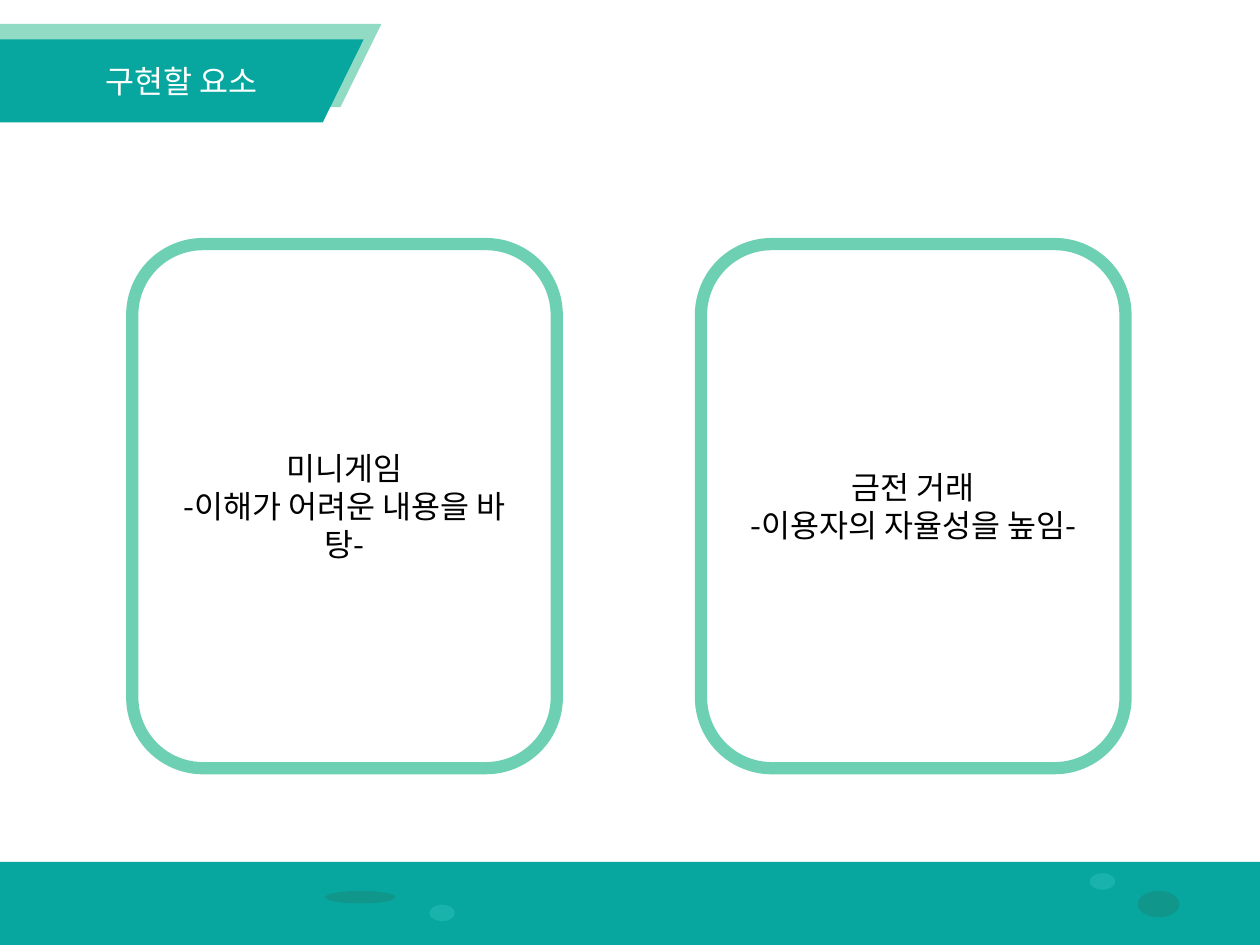
from pptx import Presentation
from pptx.dml.color import RGBColor as RGB
from pptx.enum.shapes import MSO_SHAPE as Kind
from pptx.enum.text import MSO_ANCHOR as Anchor, PP_ALIGN as Align
from pptx.oxml.ns import qn
from pptx.util import Pt
from lxml.etree import SubElement as Sub

FONT = "Noto Sans CJK KR"
TEAL, MINT, EDGE = "07A7A0", "91DBC4", "6ED0B2"
PALE, DARK, WHITE, BLACK = "19B3AB", "11968C", "FFFFFF", "000000"


def color(text):
    return RGB.from_string(text)


def paint(shape, fill, line=None, width=0):
    shape.shadow.inherit = False
    shape.fill.solid()
    shape.fill.fore_color.rgb = color(fill)
    if line:
        shape.line.color.rgb = color(line)
        shape.line.width = Pt(width)
    else:
        shape.line.fill.background()


def write(shape, lines, ink):
    frame = shape.text_frame
    frame.word_wrap = True
    frame.vertical_anchor = Anchor.MIDDLE
    frame.text = "\n".join(lines)
    for para in frame.paragraphs:
        para.alignment = Align.CENTER
        font = para.font
        font.size = Pt(18)
        font.color.rgb = color(ink)
        font.name = FONT
        Sub(para._p.pPr.find(qn("a:defRPr")), qn("a:ea"), typeface=FONT)


def add(slide, kind, box, fill, line=None, width=0):
    shape = slide.shapes.add_shape(kind, *map(Pt, box))
    paint(shape, fill, line, width)
    return shape


def footer(slide, box):
    left, top, _, _ = box
    add(slide, Kind.RECTANGLE, box, TEAL)
    spots = [
        (622.8, 6.5, 14.4, 9.4, PALE),
        (650.2, 16.6, 23.8, 15.1, DARK),
        (245.5, 24.5, 14.4, 9.4, PALE),
        (185.8, 16.6, 40.3, 7.2, DARK),
    ]
    for x, y, wide, high, fill in spots:
        add(slide, Kind.OVAL, (left + x, top + y, wide, high), fill)


def band(slide, box, slant, fill):
    left, top, wide, high = box
    right, low = left + wide, top + high
    pen = slide.shapes.build_freeform(Pt(left), Pt(top))
    pen.add_line_segments(
        [(Pt(x), Pt(y)) for x, y in
         [(right, top), (right - slant, low), (left, low)]])
    paint(pen.convert_to_shape(), fill)


def header(slide, box, text):
    left, top, wide, high = box
    band(slide, (left - 56, top - 8.8, wide + 66.2, high), 23.4, MINT)
    band(slide, box, 23.4, TEAL)
    title = slide.shapes.title
    title.left, title.top, title.width, title.height = map(Pt, box)
    write(title, [text], WHITE)
    tree = slide.shapes._spTree
    tree.remove(title._element)
    tree.append(title._element)


def card(slide, box, lines):
    write(add(slide, Kind.ROUNDED_RECTANGLE, box, WHITE, EDGE, 7), lines, BLACK)


def main():
    deck = Presentation()
    deck.slide_width, deck.slide_height = Pt(720), Pt(540)
    slide = deck.slides.add_slide(deck.slide_layouts[5])
    footer(slide, (0, 492.5, 720, 47.5))
    header(slide, (0, 22.5, 207.8, 47.5), "구현할 요소")
    cards = [
        ["미니게임", "-이해가 어려운 내용을 바탕-"],
        ["금전 거래", "-이용자의 자율성을 높임-"],
    ]
    for i, lines in enumerate(cards):
        card(slide, (75.6 + 325 * i, 139.5, 242.6, 299.5), lines)
    deck.save("out.pptx")


if __name__ == "__main__":
    main()
